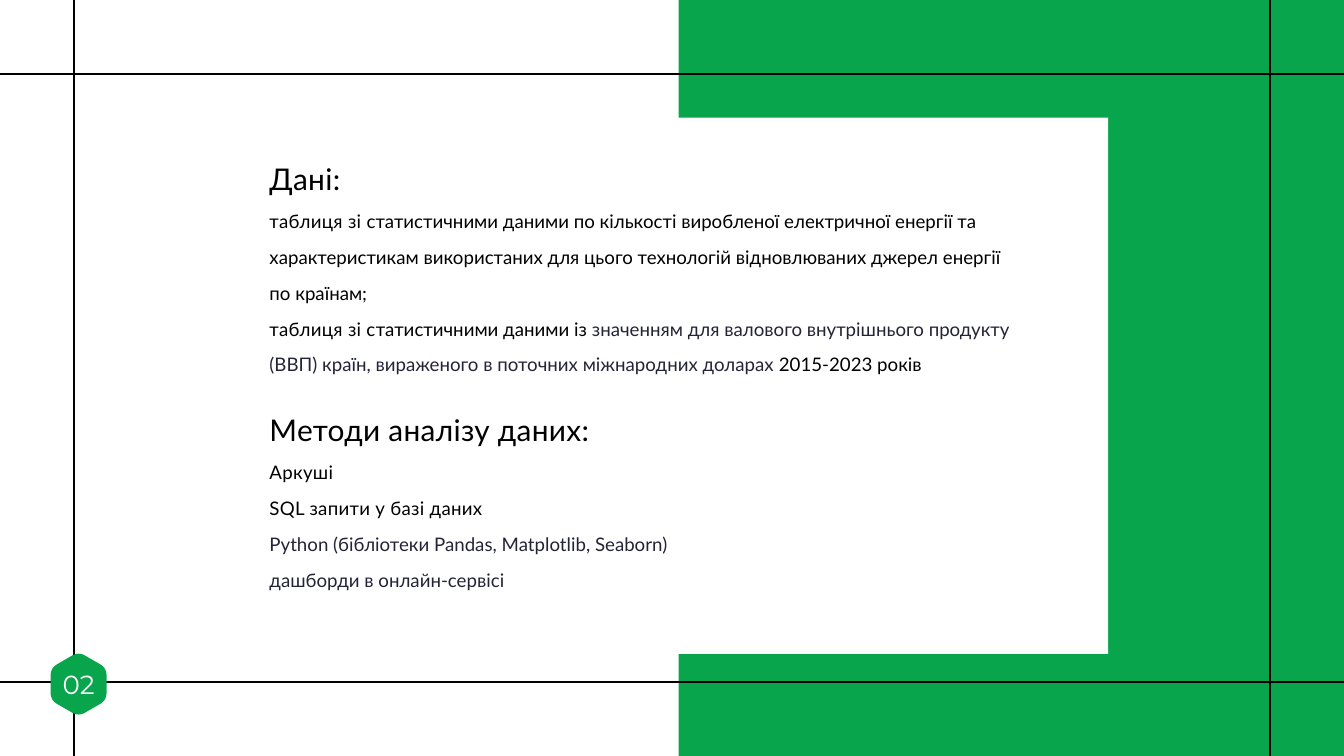
import math
from dataclasses import dataclass

import pptx
import pptx.dml.color
import pptx.enum.shapes
import pptx.enum.text
import pptx.oxml.ns
import pptx.util
from lxml import etree
from pptx.util import Inches

GREEN, WHITE, BLACK, NAVY = "08A54C", "FFFFFF", "000000", "242438"
WIDTH, HEIGHT = 20, 11.25


@dataclass
class Panel:
    left: float
    top: float
    width: float
    height: float
    color: str


@dataclass
class Rule:
    x1: float
    y1: float
    x2: float
    y2: float


@dataclass
class Piece:
    text: str
    color: str = BLACK
    spacing: float = 0.3


@dataclass
class Line:
    pieces: list[Piece]
    size: float = 20
    before: float = 0


PANELS = [
    Panel(10.1, 0, 9.9, HEIGHT, GREEN),
    Panel(3.5, 1.75, 12.99, 7.98, WHITE),
]
RULES = [Rule(0, y, WIDTH, y) for y in (1.1, 10.15)]
RULES += [Rule(x, 0, x, HEIGHT) for x in (1.1, 18.9)]

LINES = [
    Line([Piece("Дані:")], 32),
    Line([
        Piece("таблиця зі "),
        Piece("статистичними даними по кількості виробленої електричної енергії та "
              "характеристикам використаних для цього технологій відновлюваних "
              "джерел енергії по країнам;", spacing=0),
    ]),
    Line([
        Piece("таблиця зі с"),
        Piece("татистичними даними із ", spacing=0),
        Piece("значенням для валового внутрішнього продукту (ВВП) країн, "
              "вираженого в поточних міжнародних доларах ", NAVY, 0),
        Piece("2015-2023 років", spacing=0),
    ]),
    Line([Piece("Методи аналізу даних:")], 32, before=38.4),
    Line([Piece("Аркуші")]),
    Line([Piece("SQL запити у базі даних")]),
    Line([Piece("Python (бібліотеки Pandas, Matplotlib, Seaborn)", NAVY, 0)]),
    Line([Piece("дашборди в онлайн-сервісі", NAVY, 0)]),
]


def rgb(color: str) -> pptx.dml.color.RGBColor:
    return pptx.dml.color.RGBColor.from_string(color)


def paint(shape, color: str) -> None:
    shape.shadow.inherit = False
    shape.fill.solid()
    shape.fill.fore_color.rgb = rgb(color)
    shape.line.fill.background()


def set_values(target, values: dict) -> None:
    for name, value in values.items():
        setattr(target, name, value)


def set_frame(frame, inset: float, anchor) -> None:
    set_values(frame, {
        "word_wrap": True,
        "auto_size": pptx.enum.text.MSO_AUTO_SIZE.NONE,
        "vertical_anchor": anchor,
        **{f"margin_{side}": Inches(inset) for side in ("left", "top", "right", "bottom")},
    })


def add_run(paragraph, text: str, font: str, size: float, color: str):
    run = paragraph.add_run()
    run.text = text
    set_values(run.font, {"name": font, "size": pptx.util.Pt(size)})
    run.font.color.rgb = rgb(color)
    return run


def add_panel(slide, panel: Panel) -> None:
    shape = slide.shapes.add_shape(
        pptx.enum.shapes.MSO_SHAPE.RECTANGLE, Inches(panel.left), Inches(panel.top),
        Inches(panel.width), Inches(panel.height))
    paint(shape, panel.color)


def add_rule(slide, rule: Rule) -> None:
    connector = slide.shapes.add_connector(
        pptx.enum.shapes.MSO_CONNECTOR.STRAIGHT, Inches(rule.x1), Inches(rule.y1),
        Inches(rule.x2), Inches(rule.y2))
    connector.line.color.rgb = rgb(BLACK)
    connector.line.width = pptx.util.Pt(1.5)
    etree.SubElement(connector._element.spPr, pptx.oxml.ns.qn("a:effectLst"))


def write_body(body, lines: list[Line]) -> None:
    set_values(body, {"left": Inches(4.01), "top": Inches(2.39),
                      "width": Inches(11.21), "height": Inches(6.93)})
    frame = body.text_frame
    set_frame(frame, 0, pptx.enum.text.MSO_ANCHOR.TOP)
    for index, line in enumerate(lines):
        paragraph = frame.add_paragraph() if index else frame.paragraphs[0]
        set_values(paragraph, {
            "alignment": pptx.enum.text.PP_ALIGN.LEFT,
            "line_spacing": pptx.util.Pt(38.4),
            "space_before": pptx.util.Pt(line.before),
            "space_after": pptx.util.Pt(0),
        })
        # No bullet and no hanging indent
        properties = paragraph._p.get_or_add_pPr()
        properties.set("marL", "0")
        properties.set("indent", "0")
        etree.SubElement(properties, pptx.oxml.ns.qn("a:buNone"))
        for piece in line.pieces:
            run = add_run(paragraph, piece.text, "Lato", line.size, piece.color)
            run._r.get_or_add_rPr().set("spc", str(round(piece.spacing * 100)))


def rounded_hexagon(x: float, y: float, radius: float, cut: float) -> list[tuple[int, int]]:
    """Outline points with each corner rounded by a quadratic curve."""
    corners = [(x + radius * math.sin(math.radians(60 * i)),
                y - radius * math.cos(math.radians(60 * i))) for i in range(6)]
    share, steps, points = cut / radius, 8, []
    for i, corner in enumerate(corners):
        start, end = [[c + (n - c) * share for c, n in zip(corner, neighbor)]
                      for neighbor in (corners[i - 1], corners[(i + 1) % 6])]
        for t in (step / steps for step in range(steps + 1)):
            points.append(tuple(Inches((1 - t) ** 2 * s + 2 * t * (1 - t) * c + t ** 2 * e)
                                for s, c, e in zip(start, corner, end)))
    return points


def add_page_badge(slide, number: str) -> None:
    points = rounded_hexagon(1.17, 10.18, 0.48, 0.11)
    builder = slide.shapes.build_freeform(*points[0])
    builder.add_line_segments(points[1:], close=True)
    paint(builder.convert_to_shape(), GREEN)

    label = slide.shapes.add_textbox(Inches(0.75), Inches(9.8), Inches(0.84), Inches(0.68))
    set_frame(label.text_frame, 0.06, pptx.enum.text.MSO_ANCHOR.MIDDLE)
    paragraph = label.text_frame.paragraphs[0]
    set_values(paragraph, {"alignment": pptx.enum.text.PP_ALIGN.CENTER,
                           "line_spacing": pptx.util.Pt(39.2)})
    add_run(paragraph, number, "Montserrat", 28, WHITE)


def main() -> None:
    presentation = pptx.Presentation()
    set_values(presentation, {"slide_width": Inches(WIDTH), "slide_height": Inches(HEIGHT)})
    slide = presentation.slides.add_slide(presentation.slide_layouts[1])
    slide.background.fill.solid()
    slide.background.fill.fore_color.rgb = rgb(WHITE)

    # The slide has two equal headings in its body and no title
    title = slide.shapes.title._element
    title.getparent().remove(title)
    body = slide.placeholders[1]

    # Backdrop and grid lines
    for panel in PANELS:
        add_panel(slide, panel)
    for rule in RULES:
        add_rule(slide, rule)

    # Text, moved in front of the card
    write_body(body, LINES)
    slide.shapes._spTree.append(body._element)

    # Page number
    add_page_badge(slide, "02")
    presentation.save("out.pptx")


if __name__ == "__main__":
    main()
